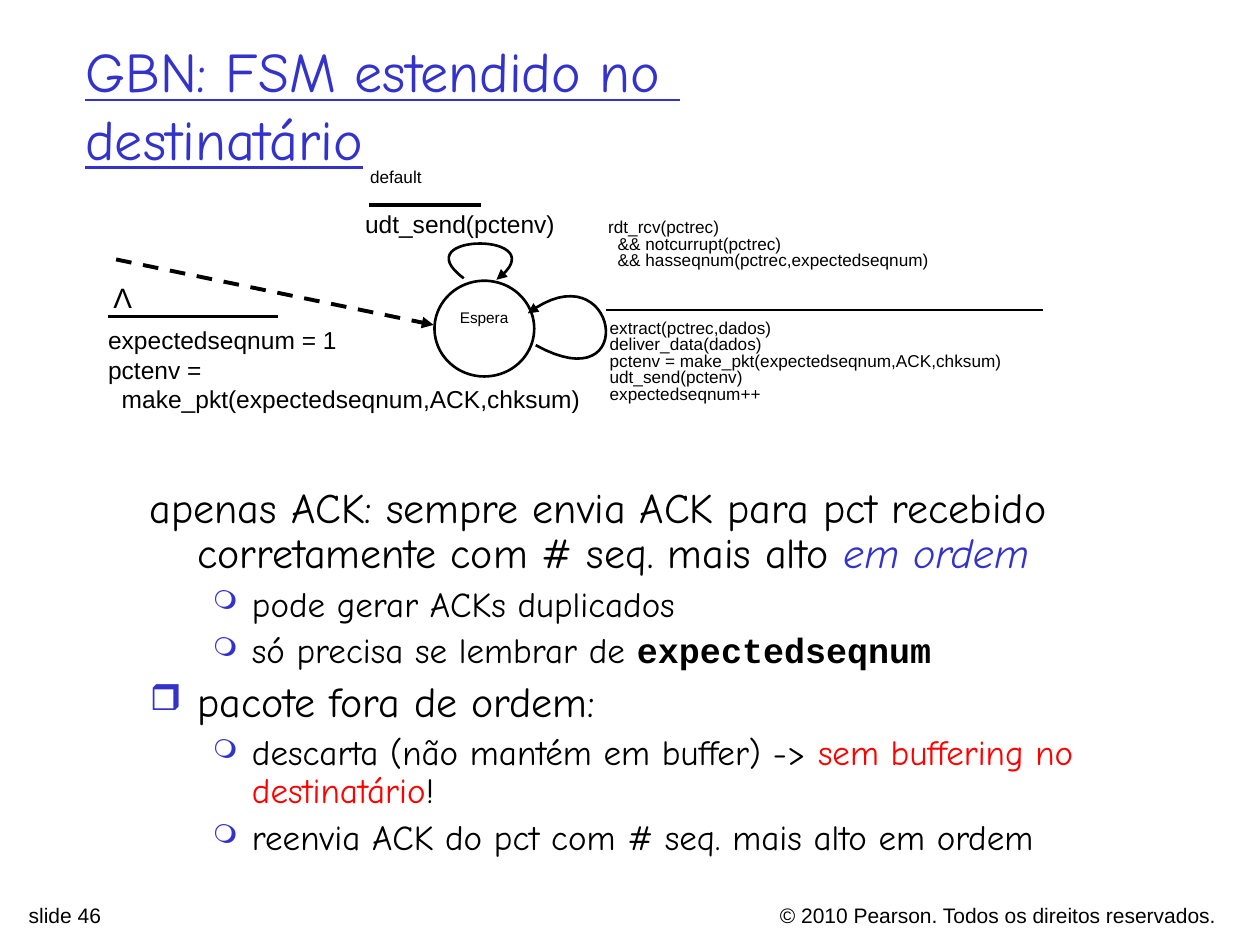
from lxml.etree import SubElement
from pptx import Presentation
from pptx.dml.color import RGBColor
from pptx.enum.dml import MSO_LINE
from pptx.enum.shapes import MSO_CONNECTOR, MSO_SHAPE
from pptx.enum.text import MSO_ANCHOR, PP_ALIGN
from pptx.oxml.ns import qn
from pptx.util import Cm, Pt

THEME = {
    "black": RGBColor(0, 0, 0),
    "white": RGBColor(255, 255, 255),
    "blue": RGBColor(0x33, 0x33, 0xCC),
    "red": RGBColor(255, 0, 0),
    "sans": "Arial",
    "hand": "Comic Neue",
    "mono": "Courier New",
    "title": Pt(32),
    "topic": Pt(24),
    "detail": Pt(20),
    "symbol": Pt(16),
    "action": Pt(14),
    "footer": Pt(12),
    "event": Pt(9.8),
    "state": Pt(8.8),
    "thin": Pt(1.5),
    "thick": Pt(2.25),
}


def write(para, text, size, font="sans", color="black", **extra):
    for number, piece in enumerate(text.split("\v")):
        if number:
            para.add_line_break()
        span = para.add_run()
        span.text = piece
        for name, value in {"name": THEME[font], "size": THEME[size], **extra}.items():
            setattr(span.font, name, value)
        span.font.color.rgb = THEME[color]


def draw_line(shape, width, arrow):
    shape.line.color.rgb = THEME["black"]
    shape.line.width = THEME[width]
    SubElement(shape._element.spPr, qn("a:effectLst"))
    if arrow:
        SubElement(shape.line._get_or_add_ln(), qn("a:tailEnd"), type="triangle")


deck = Presentation()
deck.slide_width, deck.slide_height = Cm(25.4), Cm(19.05)
page = deck.slides.add_slide(deck.slide_layouts[6])

waiting = page.shapes.add_shape(MSO_SHAPE.OVAL, Cm(8.76), Cm(5.66), Cm(2.01), Cm(1.93))
waiting.shadow.inherit = False
waiting.fill.solid()
waiting.fill.fore_color.rgb = THEME["white"]
waiting.line.color.rgb = THEME["black"]
waiting.line.width = THEME["thin"]

rules = [
    (2.34, 5.23, 8.74, 6.55, "thick", True),
    (7.44, 4.14, 9.7, 4.14, "thick", False),
    (12.22, 6.25, 21.03, 6.25, "thin", False),
    (2.18, 6.38, 5.61, 6.38, "thick", False),
]
for x1, y1, x2, y2, width, arrow in rules:
    rule = page.shapes.add_connector(MSO_CONNECTOR.STRAIGHT, Cm(x1), Cm(y1), Cm(x2), Cm(y2))
    if arrow:
        rule.line.dash_style = MSO_LINE.DASH
    draw_line(rule, width, arrow)

loops = [
    [(10.8, 6.96), (12.95, 8.15), (12.45, 4.95), (10.64, 6.32)],
    [(9.35, 5.61), (8.08, 4.67), (11.3, 4.67), (10.01, 5.64)],
]
steps = 32
for controls in loops:
    points = []
    for step in range(steps + 1):
        t = step / steps
        weights = ((1 - t) ** 3, 3 * t * (1 - t) ** 2, 3 * t * t * (1 - t), t ** 3)
        points.append([Cm(sum(w * c[axis] for w, c in zip(weights, controls))) for axis in (0, 1)])
    builder = page.shapes.build_freeform(*points[0])
    builder.add_line_segments(points[1:], close=False)
    loop = builder.convert_to_shape()
    loop.fill.background()
    draw_line(loop, "thin", True)

left, center, right = PP_ALIGN.LEFT, PP_ALIGN.CENTER, PP_ALIGN.RIGHT
labels = [
    ((11.79, 18.06, 12.98, 0.61), "footer", right, 1, ["© 2010 Pearson. Todos os direitos reservados."]),
    ((0.33, 18.06, 8.94, 0.58), "footer", left, 1, ["slide 46"]),
    ((8.53, 6.15, 2.46, 0.66), "state", center, 0.8, ["Espera"]),
    ((7.11, 4.09, 4.5, 0.86), "action", left, 1, ["udt_send(pctenv)"]),
    ((7.21, 3.3, 2.01, 0.69), "event", left, 0.8, ["default"]),
    ((12.01, 4.32, 9.91, 1.57), "event", left, 0.8, [
        "rdt_rcv(pctrec)",
        "  && notcurrupt(pctrec)",
        "  && hasseqnum(pctrec,expectedseqnum)",
    ]),
    ((12.04, 6.35, 11.99, 2.39), "event", left, 0.8, [
        "extract(pctrec,dados)",
        "deliver_data(dados)",
        "pctenv = make_pkt(expectedseqnum,ACK,chksum)",
        "udt_send(pctenv)",
        "expectedseqnum++",
    ]),
    ((1.93, 6.43, 10.11, 2.72), "action", left, 1, [
        "expectedseqnum = 1",
        "pctenv =",
        "  make_pkt(expectedseqnum,ACK,chksum)",
    ]),
    ((2.03, 5.54, 0.89, 0.94), "symbol", center, 1, ["Λ"]),
]
for place, size, align, spacing, lines in labels:
    box = page.shapes.add_textbox(*map(Cm, place))
    box.text_frame.word_wrap = True
    for number, line in enumerate(lines):
        para = box.text_frame.add_paragraph() if number else box.text_frame.paragraphs[0]
        for name, value in {"alignment": align, "line_spacing": spacing}.items():
            setattr(para, name, value)
        write(para, line, size)

title = page.shapes.add_textbox(Cm(1.47), Cm(0.51), Cm(21.59), Cm(3.18))
title.text_frame.word_wrap = True
title.text_frame.vertical_anchor = MSO_ANCHOR.MIDDLE
write(title.text_frame.paragraphs[0], "GBN: FSM estendido no \vdestinatário", "title", "hand", "blue", underline=True)

levels = [
    {"size": "topic", "margin": 0.96, "hang": 0.96, "before": 6, "bullet": "❒", "scale": "85000"},
    {"size": "detail", "margin": 2.06, "hang": 0.79, "before": 5, "bullet": "❍", "scale": "75000"},
]
topics = [
    (0, False, [
        ("apenas ACK: sempre envia ACK para pct recebido corretamente com # seq. mais alto ", {}),
        ("em ordem", {"color": "blue", "italic": True}),
    ]),
    (1, True, [("pode gerar ACKs duplicados", {})]),
    (1, True, [
        ("só precisa se lembrar de ", {}),
        ("expectedseqnum", {"font": "mono", "bold": True}),
    ]),
    (0, True, [("pacote fora de ordem:", {})]),
    (1, True, [
        ("descarta (não mantém em buffer) -> ", {}),
        ("sem buffering no destinatário", {"color": "red"}),
        ("!", {}),
    ]),
    (1, True, [("reenvia ACK do pct com # seq. mais alto em ordem", {})]),
]
body = page.shapes.add_textbox(Cm(2.77), Cm(9.7), Cm(22.63), Cm(7.92))
body.text_frame.word_wrap = True
for number, (depth, bulleted, spans) in enumerate(topics):
    level = levels[depth]
    para = body.text_frame.add_paragraph() if number else body.text_frame.paragraphs[0]
    before = Pt(level["before"] if number else 0)
    for name, value in {"level": depth, "line_spacing": 0.9, "space_before": before}.items():
        setattr(para, name, value)
    properties = para._p.get_or_add_pPr()
    properties.set("marL", str(Cm(level["margin"])))
    properties.set("indent", str(-Cm(level["hang"])))
    if bulleted:
        bullet_color = SubElement(properties, qn("a:buClr"))
        SubElement(bullet_color, qn("a:srgbClr"), val=str(THEME["blue"]))
        SubElement(properties, qn("a:buSzPct"), val=level["scale"])
        SubElement(properties, qn("a:buChar"), char=level["bullet"])
    for text, look in spans:
        write(para, text, level["size"], **{"font": "hand", **look})

deck.save("out.pptx")
